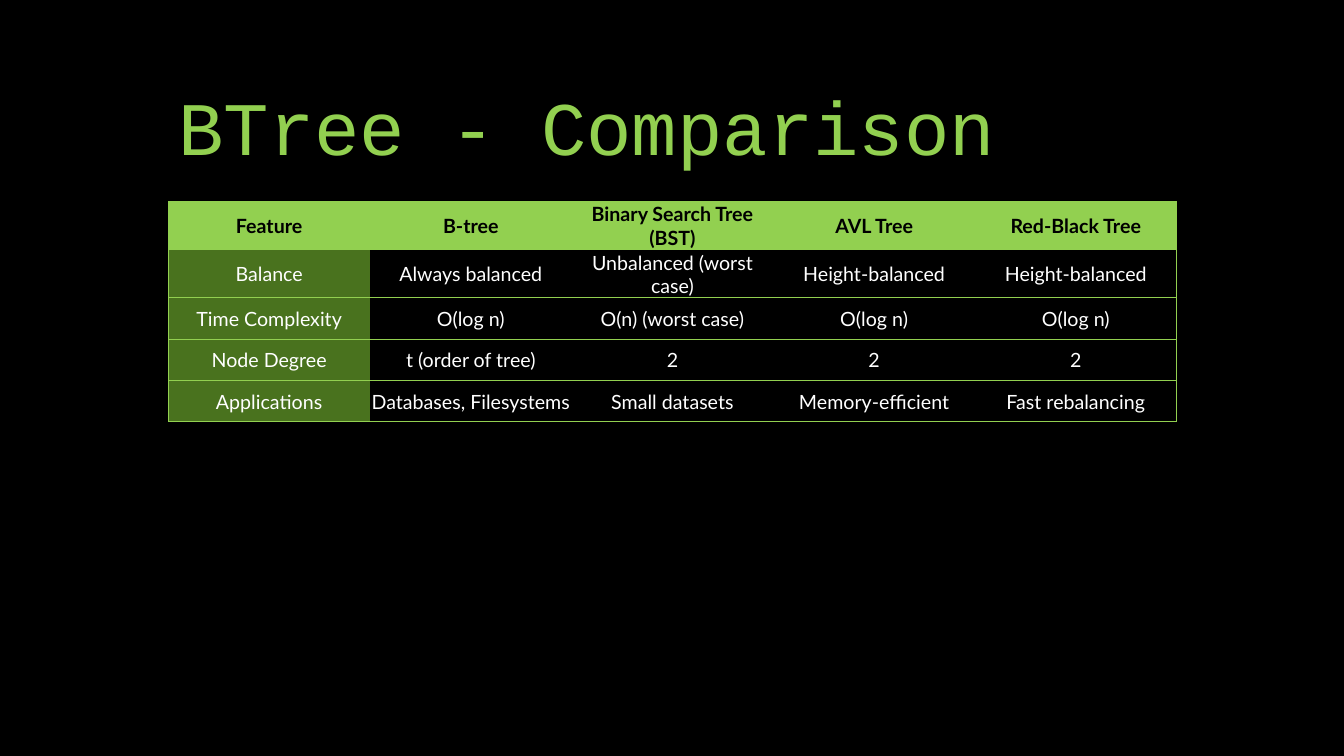
import dataclasses

import lxml.etree
import pptx
import pptx.dml.color
import pptx.enum.text
import pptx.oxml.ns
import pptx.util

Inches = pptx.util.Inches
ALIGN = pptx.enum.text.PP_ALIGN
ANCHOR = pptx.enum.text.MSO_ANCHOR


@dataclasses.dataclass(frozen=True)
class Theme:
    back: str = "000000"
    lime: str = "92D050"
    moss: str = "49721E"
    white: str = "FFFFFF"
    head_font: str = "Courier New"
    body_font: str = "Lato"
    head_size: int = 54
    body_size: int = 14
    rule: float = 0.5


ROWS = [
    ["Feature", "B-tree", "Binary Search Tree (BST)", "AVL Tree", "Red-Black Tree"],
    ["Balance", "Always balanced", "Unbalanced (worst case)",
     "Height-balanced", "Height-balanced"],
    ["Time Complexity", "O(log n)", "O(n) (worst case)", "O(log n)", "O(log n)"],
    ["Node Degree", "t (order of tree)", "2", "2", "2"],
    ["Applications", "Databases, Filesystems", "Small datasets",
     "Memory-efficient", "Fast rebalancing"],
]


def paint(fill, color):
    fill.solid()
    fill.fore_color.rgb = pptx.dml.color.RGBColor.from_string(color)


def write(frame, text, *, font, size, color, bold=False,
          align=ALIGN.LEFT, space=1.0):
    """Put one formatted paragraph in a text frame."""
    frame.word_wrap = True
    para = frame.paragraphs[0]
    para.alignment = align
    para.line_spacing = space
    run = para.add_run()
    run.text = text
    run.font.name = font
    run.font.size = pptx.util.Pt(size)
    run.font.bold = bold
    paint(run.font.fill, color)


def edge(cell, side, color, width):
    """Draw one cell border, or clear it when color is None."""
    qn = pptx.oxml.ns.qn
    line = lxml.etree.SubElement(cell.get_or_add_tcPr(), qn(f"a:ln{side}"),
                                 w=str(pptx.util.Pt(width)))
    if color is None:
        lxml.etree.SubElement(line, qn("a:noFill"))
    else:
        solid = lxml.etree.SubElement(line, qn("a:solidFill"))
        lxml.etree.SubElement(solid, qn("a:srgbClr"), val=color)


class Page:
    def __init__(self, slide, theme):
        self.slide = slide
        self.theme = theme
        paint(slide.background.fill, theme.back)

    def title(self, text, left, top, width, height):
        box = self.slide.shapes.add_textbox(
            Inches(left), Inches(top), Inches(width), Inches(height))
        box.text_frame.vertical_anchor = ANCHOR.BOTTOM
        write(box.text_frame, text, font=self.theme.head_font,
              size=self.theme.head_size, color=self.theme.lime, space=0.9)

    def table(self, rows, left, top, width, row_high):
        count = len(rows[0])
        grid = self.slide.shapes.add_table(
            len(rows), count, Inches(left), Inches(top),
            Inches(width), Inches(row_high * len(rows))).table
        grid.horz_banding = False
        for col in grid.columns:
            col.width = Inches(width / count)
        for r, row in enumerate(rows):
            grid.rows[r].height = Inches(row_high)
            for c, text in enumerate(row):
                self.cell(grid.cell(r, c), text, r == 0, c == 0, c == count - 1)

    def cell(self, cell, text, head, first, last):
        theme = self.theme
        cell.vertical_anchor = ANCHOR.MIDDLE
        cell.margin_left = cell.margin_right = cell.margin_top = Inches(0.01)
        cell.margin_bottom = 0
        # Outer frame and row rules, with no rules between columns
        sides = {"L": first, "R": last, "T": True, "B": True}
        for side, shown in sides.items():
            edge(cell._tc, side, theme.lime if shown else None, theme.rule)
        paint(cell.fill, theme.lime if head else theme.moss if first else theme.back)
        write(cell.text_frame, text, font=theme.body_font, size=theme.body_size,
              color=theme.back if head else theme.white, bold=head,
              align=ALIGN.CENTER)


def main():
    deck = pptx.Presentation()
    deck.slide_width = Inches(13.33)
    deck.slide_height = Inches(7.5)
    page = Page(deck.slides.add_slide(deck.slide_layouts[6]), Theme())

    # Heading
    page.title("BTree - Comparison", 1.67, 0.5, 10, 1.25)
    # Comparison of tree types
    page.table(ROWS, 1.67, 2, 10, 0.41)

    deck.save("out.pptx")


if __name__ == "__main__":
    main()
